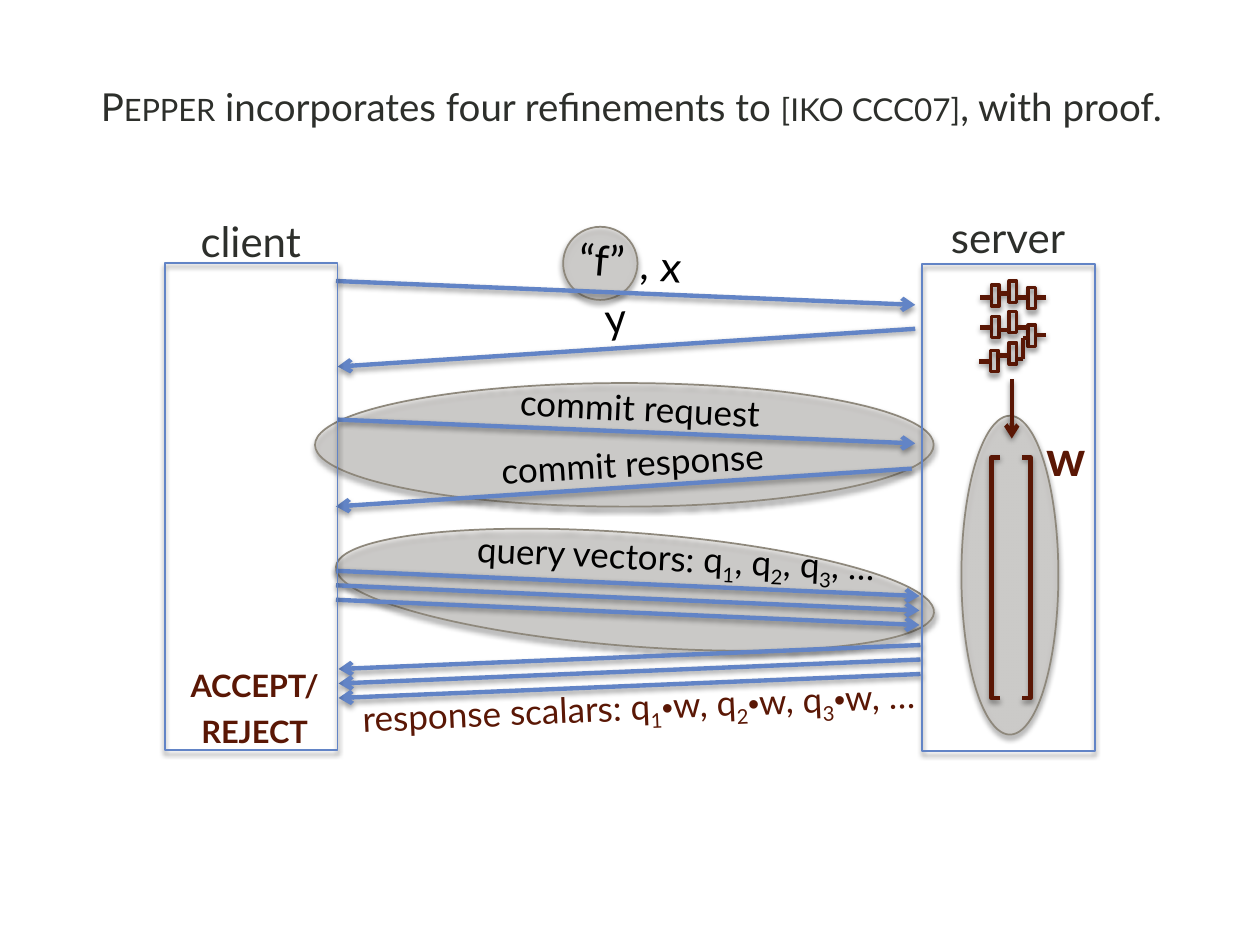
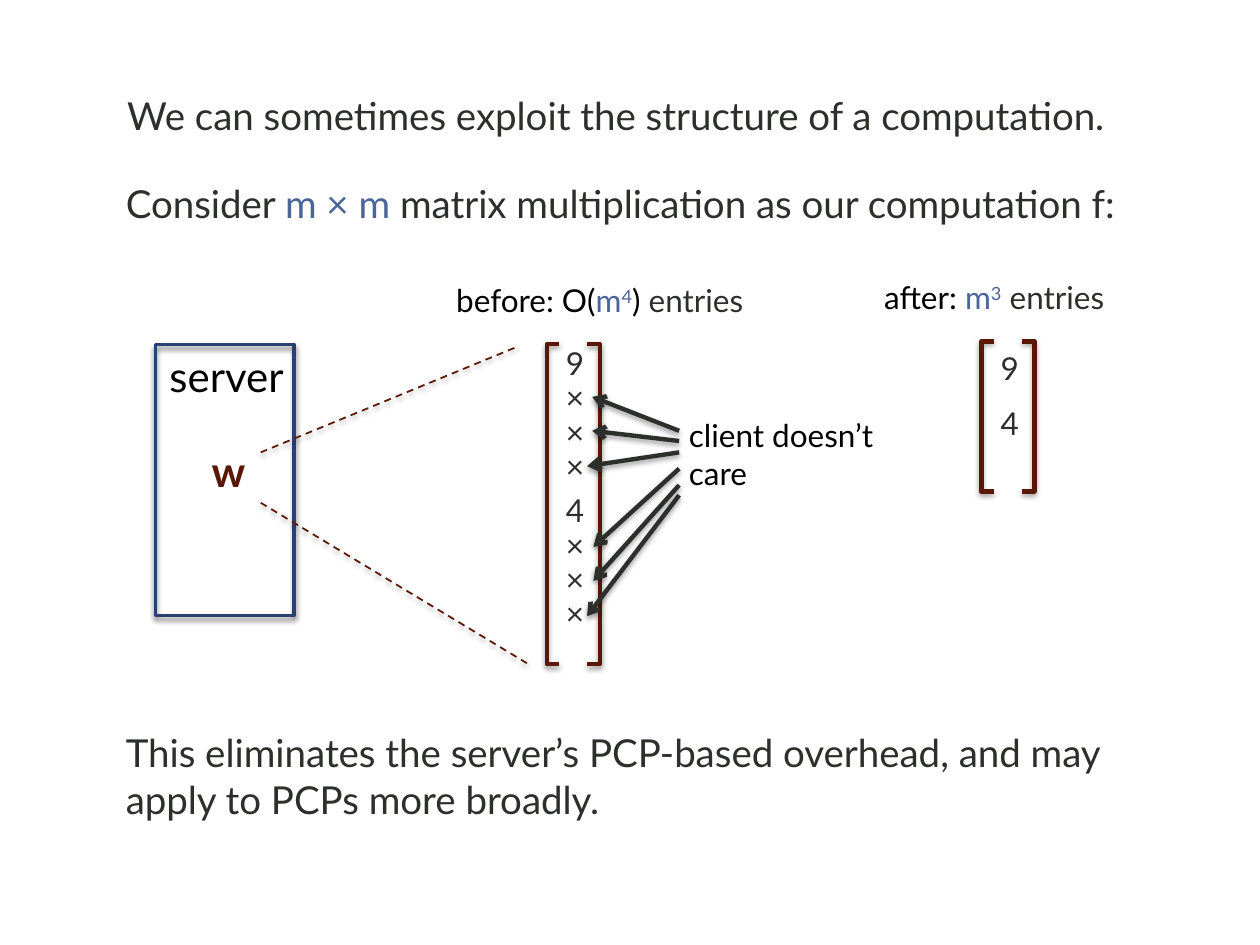
from lxml.etree import SubElement
from pptx import Presentation
from pptx.dml.color import RGBColor
from pptx.enum.dml import MSO_LINE
from pptx.enum.shapes import MSO_CONNECTOR, MSO_SHAPE
from pptx.enum.text import MSO_ANCHOR, MSO_AUTO_SIZE, PP_ALIGN
from pptx.oxml.ns import qn
from pptx.util import Pt

HEX = {"ink": "2D2F2B", "black": "000000", "wine": "5A1705", "blue": "6284C6",
       "navy": "294171", "math": "4A659A", "halo": "D2CFCB", "rim": "8E887C"}
FONT = "Lato"
SHAPE_SHADE = (50, 3, 2)
LINE_SHADE = (38, 3.1, 1.6)
CAPS = {"cap": "small"}
SUB = {"baseline": "-25000"}
SUP = {"baseline": "30000"}


def tint(name):
    """Return the named colour."""
    return RGBColor.from_string(HEX[name])


def shade(shape, alpha, blur, dist):
    """Give a shape a soft shadow straight below it."""
    effect = SubElement(shape._element.spPr, qn("a:effectLst"))
    outer = SubElement(effect, qn("a:outerShdw"), blurRad=str(Pt(blur)),
                       dist=str(Pt(dist)), dir="5400000", rotWithShape="0")
    black = SubElement(outer, qn("a:srgbClr"), val=HEX["black"])
    SubElement(black, qn("a:alpha"), val=str(alpha * 1000))


def write(frame, runs, size, color, align=PP_ALIGN.LEFT, bold=None):
    """Fill a text frame with runs of (text, overrides)."""
    frame.word_wrap = True
    frame.auto_size = MSO_AUTO_SIZE.NONE
    frame.vertical_anchor = MSO_ANCHOR.TOP
    para = frame.paragraphs[0]
    para.alignment = align
    para.space_before = Pt(0)
    for text, diff in runs:
        run = para.add_run()
        run.text = text
        run.font.name = diff.get("font", FONT)
        run.font.size = Pt(diff.get("size", size))
        run.font.bold = bold
        run.font.color.rgb = tint(diff.get("color", color))
        for key in ("cap", "baseline"):
            if key in diff:
                run._r.get_or_add_rPr().set(key, diff[key])


def label(slide, box, runs, size, color="ink", turn=0, align=PP_ALIGN.CENTER, bold=None):
    """Place a text box, tilted by turn degrees."""
    note = slide.shapes.add_textbox(*map(Pt, box))
    note.rotation = turn
    runs = [(runs, {})] if isinstance(runs, str) else runs
    write(note.text_frame, runs, size, color, align, bold)


def head(slide, box, runs):
    """Place the slide title."""
    title = slide.shapes.title
    title.left, title.top, title.width, title.height = map(Pt, box)
    write(title.text_frame, runs, 22, "ink")


def frame(slide, kind, box, color, width, glow=SHAPE_SHADE):
    """Draw a shape with an outline only."""
    shape = slide.shapes.add_shape(kind, *map(Pt, box))
    shape.fill.background()
    shape.line.color.rgb = tint(color)
    shape.line.width = Pt(width)
    shade(shape, *glow)
    return shape


def halo(slide, box, turn=0):
    """Draw a see-through ellipse that marks a refinement."""
    oval = frame(slide, MSO_SHAPE.OVAL, box, "rim", 1)
    oval.rotation = turn
    oval.fill.solid()
    oval.fill.fore_color.rgb = tint("halo")
    SubElement(oval._element.spPr.find(".//" + qn("a:srgbClr")), qn("a:alpha"), val="45000")


def link(slide, x, y, ends, color, width=2.5, arrow=True, dash=False):
    """Draw a line between two points given relative to x, y."""
    x1, y1, x2, y2 = ends
    line = slide.shapes.add_connector(
        MSO_CONNECTOR.STRAIGHT, Pt(x + x1), Pt(y + y1), Pt(x + x2), Pt(y + y2))
    line.line.color.rgb = tint(color)
    line.line.width = Pt(width)
    if dash:
        line.line.dash_style = MSO_LINE.DASH
    if arrow:
        SubElement(line.line._get_or_add_ln(), qn("a:tailEnd"), type="arrow")
    shade(line, *LINE_SHADE)


def vector(slide, box, tab):
    """Draw a pair of square brackets that fill the box."""
    x, y, w, h = box
    for kind, left in ((MSO_SHAPE.LEFT_BRACKET, x), (MSO_SHAPE.RIGHT_BRACKET, x + w - tab)):
        side = frame(slide, kind, (left, y, tab, h), "wine", 2.5, LINE_SHADE)
        side.adjustments[0] = 0


def party(slide, box, name, lift):
    """Draw one side of the protocol with its name above."""
    x, y, w, h = box
    frame(slide, MSO_SHAPE.RECTANGLE, box, "blue", 1)
    label(slide, (x - 6.5, y - lift, w + 12.4, 36), name, 24)


def circuit(slide, x, y):
    """Draw the gates and wires of the computation."""
    gates = [(7.2, 2.2), (7.2, 20.2), (6.5, 39.6), (17.3, 0), (17.3, 17.3),
             (17.3, 35.3), (28.1, 3.6), (28.1, 25.2)]
    for dx, dy in gates:
        frame(slide, MSO_SHAPE.RECTANGLE, (x + dx, y + dy, 4.3, 12.2), "wine", 2)
    wires = [(0.7, 9.4, 7.2), (0.7, 26.6, 7.2), (0, 46.1, 6.5), (11.5, 28.1, 17.3),
             (21.6, 9.4, 27.4), (11.5, 7.2, 17.3), (10.8, 42.5, 17.3),
             (21.6, 44.6, 25.2), (25.2, 32.4, 28.1), (22.3, 26.6, 28.1),
             (32.4, 9.4, 38.2), (32.4, 31, 38.2)]
    for start, level, end in wires:
        link(slide, x, y, (start, level, end, level), "wine", arrow=False)
    link(slide, x, y, (25.2, 32.4, 25.2, 44.6), "wine", arrow=False)


def proof(slide, x, y):
    """Draw the server's circuit and its proof vector w."""
    halo(slide, (x + 22.4, y + 86.6, 55.4, 182.2))
    vector(slide, (x + 39.6, y + 110.4, 22.3, 137.5), 5)
    label(slide, (x + 63.8, y + 89.5, 58, 41), "w", 28, "wine",
          align=PP_ALIGN.LEFT, bold=True)
    circuit(slide, x + 32.4, y + 9.6)
    link(slide, x, y, (51.2, 65.7, 51.2, 99.6), "wine")


def series(lead, joint):
    """Return runs for q1, q2, q3 after a lead text."""
    runs = [(lead + " q", {})]
    for n in "123":
        runs.append((n, SUB))
        if joint:
            runs.append(("•", {"font": "Arial", "size": 18}))
        runs.append((joint + (", …" if n == "3" else ", q"), {}))
    return runs


def talk(slide, x, y):
    """Draw the messages between client and server."""
    halo(slide, (x - 0.5, y + 154.6, 342.7, 64.8), 4.4)
    halo(slide, (x - 12, y + 68.9, 353.5, 70.6))
    halo(slide, (x + 129.8, y - 20.4, 42.5, 41.8))
    notes = [
        (75.1, -19.7, 153.4, "“f”", 24, "black", 4.9),
        (109, -16.8, 153.4, ", x", 24, "black", 4.9),
        (83, 13.4, 153.4, "y", 24, "black", -4.5),
        (47.8, 67.4, 252, "commit request", 20, "black", 2.7),
        (43.4, 99.1, 252, "commit response", 20, "black", -3.4),
        (37.7, 153.1, 313.2, series("query vectors:", ""), 20, "black", 2.7),
        (-11.3, 238.1, 368.6, series("response scalars:", "w"), 20, "wine", -2.5),
    ]
    for dx, dy, width, runs, size, color, turn in notes:
        label(slide, (x + dx, y + dy, width, size * 1.55), runs, size, color, turn)
    ends = [(0, 10.6, 331, 24.2), (331, 37.9, 1, 59.5),
            (1, 89.8, 331, 103.4), (329, 117.8, 0, 139.4)]
    for k in range(3):
        drop = 8.28 * k
        ends.append((0, 176.2 + drop, 333.4, 190.6 + drop))
        ends.append((334, 218.6 + drop, 1.5, 232.3 + drop))
    for line in ends:
        link(slide, x, y, line, "blue")


def server(slide, box):
    """Draw the server that holds w, with lines that zoom in on it."""
    x, y, w, h = box
    frame(slide, MSO_SHAPE.RECTANGLE, box, "navy", 2)
    label(slide, (x - 3, y, w + 8, 36), "server", 24, "black")
    label(slide, (x + 24.9, y + 54.4, 40, 36), "w", 24, "wine",
          align=PP_ALIGN.LEFT, bold=True)
    for ends in ((60.1, 61.6, 207, 1.1), (60.1, 90.4, 214.2, 183.3)):
        link(slide, x, y, ends, "wine", 1, arrow=False, dash=True)


def store(slide, box, shift, runs, cells):
    """Draw a vector with its caption and its entries."""
    x, y, w, h = box
    vector(slide, box, 7.2)
    label(slide, (x + w / 2 + shift - 95, y - 39.5, 190, 29), runs, 18, "black")
    for text, dy in cells:
        label(slide, (x + 3.8, y + dy, 36, 29), text, 18, align=PP_ALIGN.LEFT)


def unused(slide, x, y):
    """Point from a remark to the entries that do not matter."""
    label(slide, (x + 74.1, y + 37.4, 119.5, 51), "client doesn’t care", 18, "black",
          align=PP_ALIGN.LEFT)
    aims = [(49.6, 25.9, 30.2), (55.4, 25.9, 49.6), (61.9, 23, 69.8),
            (71.2, 26.6, 115.9), (80.6, 26.6, 135.3), (86.4, 23, 155.5)]
    for start, dx, dy in aims:
        link(slide, x, y, (75.6, start, dx, dy), "ink")


def steps(slide):
    """Build the protocol slide."""
    head(slide, (50.4, 44, 669.6, 45), [
        ("P", {}), ("epper", CAPS), (" incorporates four refinements to ", {}),
        ("[IKO CCC07]", {"size": 18}), (", with proof.", {})])
    talk(slide, 192, 150)
    party(slide, (94.3, 150.5, 98.6, 278), "client", 31)
    label(slide, (90, 373, 111, 55.4), [("accept/reject", CAPS)], 22, "wine", bold=True)
    party(slide, (527, 151, 98.6, 278), "server", 33.8)
    proof(slide, 527, 151)


def matrix(slide):
    """Build the matrix slide."""
    head(slide, (65.5, 49, 619, 34),
         [("We can sometimes exploit the structure of a computation.", {})])
    math = {"color": "math"}
    label(slide, (64.8, 99.4, 619, 34), [
        ("Consider ", {}), ("m × m ", math),
        ("matrix multiplication as our computation f:", {})], 22, align=PP_ALIGN.LEFT)
    server(slide, (88.9, 196.9, 79.2, 154.8))
    tail = (" entries", {"color": "ink"})
    cells = [(text, start + 19.6 * k) for start, group in ((-3.6, "9×××"), (80.6, "4×××"))
             for k, text in enumerate(group)]
    store(slide, (312.5, 196.6, 30.2, 182.9), 15.1, [
        ("before: O(", {}), ("m", math), ("4", math | SUP), (")", {}), tail], cells)
    unused(slide, 312.5, 196.6)
    store(slide, (560.9, 195.1, 30.2, 85.7), -7.9, [
        ("after: ", {}), ("m", math), ("3", math | SUP), tail], [("9", 0.7), ("4", 32.4)])
    label(slide, (64.8, 413.3, 601, 60.5),
          "This eliminates the server’s PCP-based overhead, and may apply to PCPs more broadly.",
          22, align=PP_ALIGN.LEFT)


def main():
    """Build and save both slides."""
    deck = Presentation()
    deck.slide_width, deck.slide_height = Pt(720), Pt(540)
    for build in (steps, matrix):
        build(deck.slides.add_slide(deck.slide_layouts[5]))
    deck.save("out.pptx")


if __name__ == "__main__":
    main()
